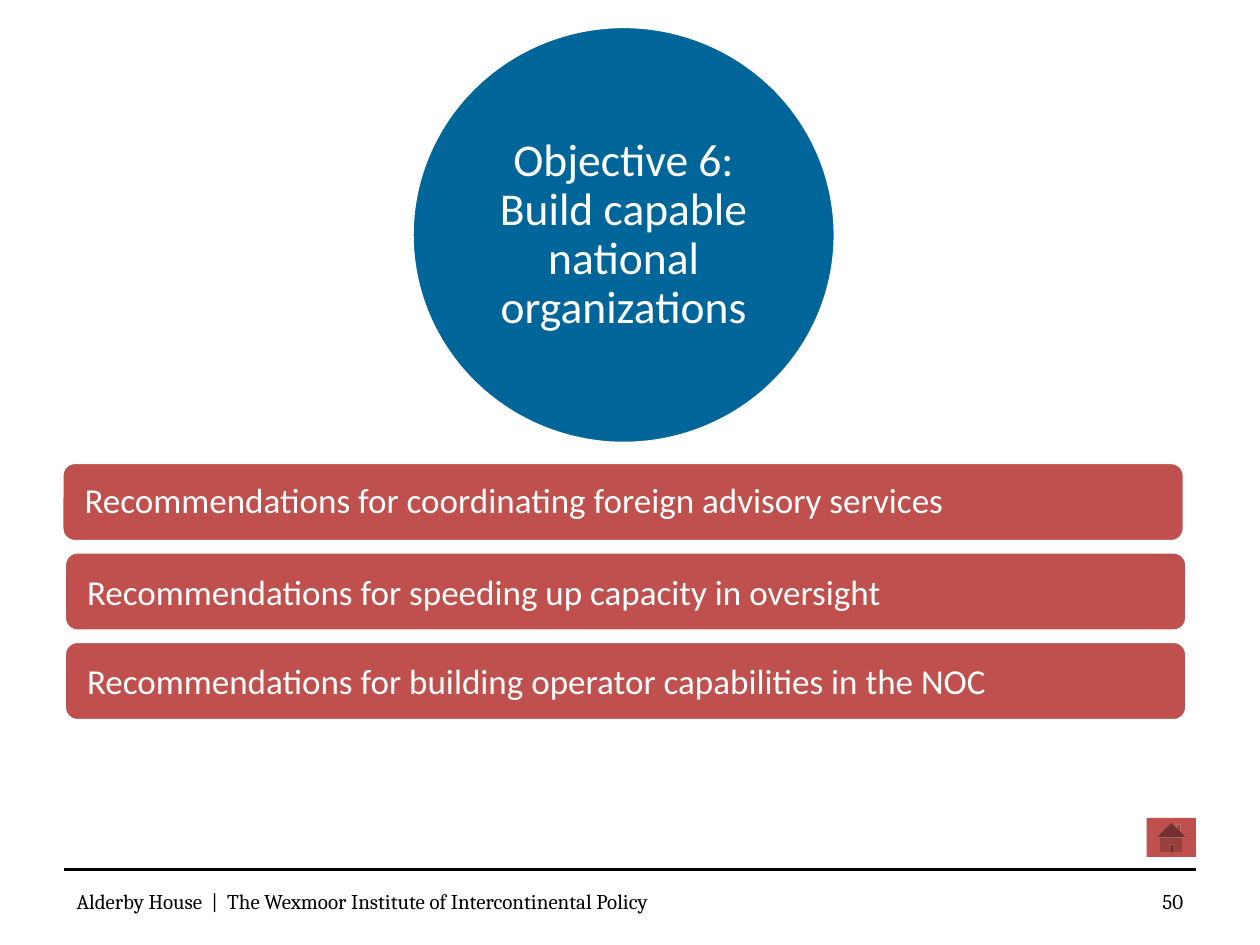
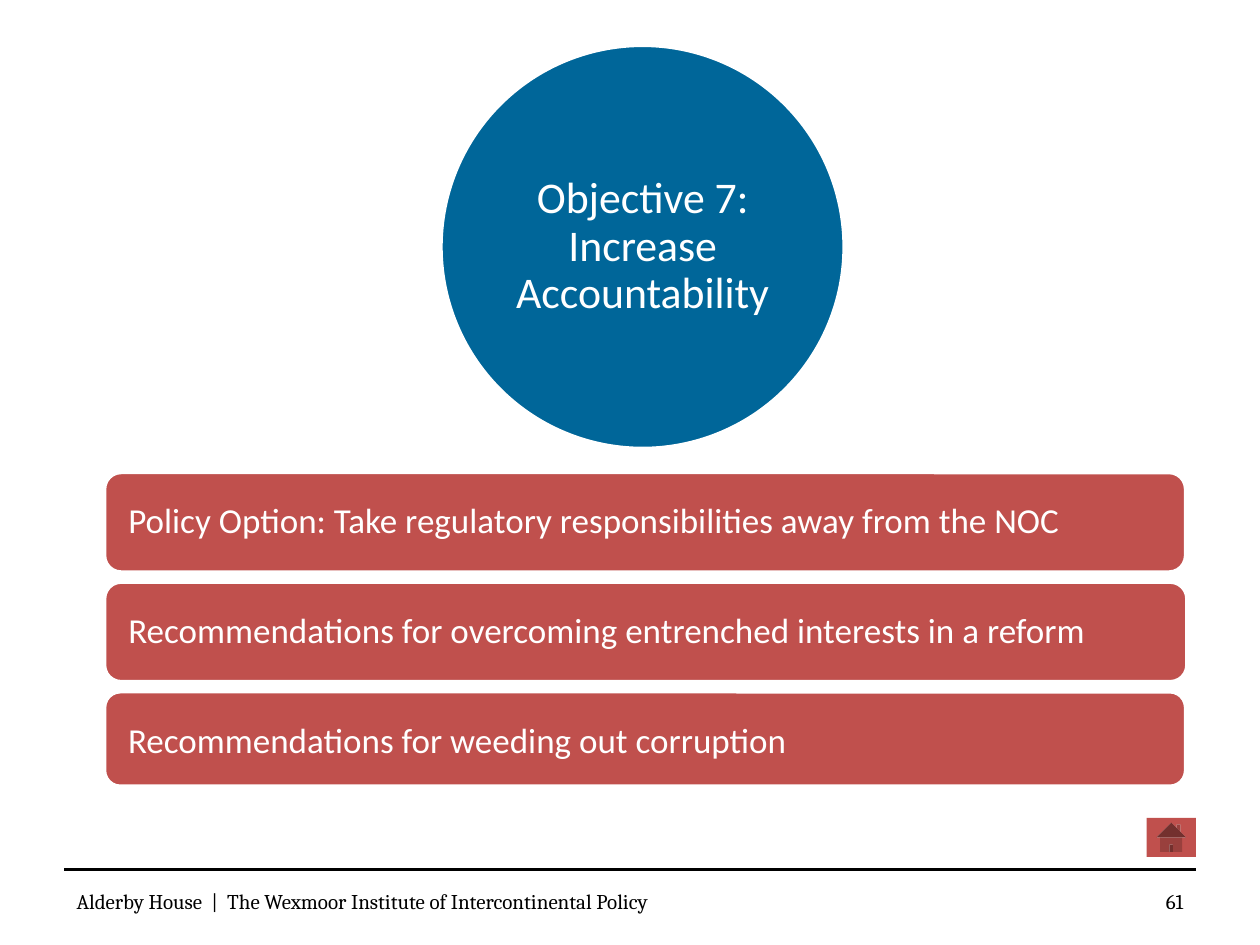
from dataclasses import dataclass

from lxml.etree import SubElement
from pptx import Presentation
from pptx.dml.color import RGBColor
from pptx.enum.shapes import MSO_CONNECTOR as Connector, MSO_SHAPE as Shape
from pptx.enum.text import MSO_ANCHOR as Anchor, MSO_AUTO_SIZE as AutoSize, PP_ALIGN as Align
from pptx.oxml.ns import qn
from pptx.util import Inches, Pt

BLUE, RED, WHITE, BLACK = "006699", "C0504D", "FFFFFF", "000000"
BODY_FONT, FOOTER_FONT = "Calibri", "Cambria"
ORGANISATION = "Alderby House  |  The Wexmoor Institute of Intercontinental Policy"
BAR_GAP = 0.08


@dataclass
class Bar:
    text: str
    left: float
    width: float
    height: float
    spacing: float = 1.0


@dataclass
class Objective:
    title: str
    title_size: int
    circle: tuple
    bars_top: float
    bars: list
    number: str


OBJECTIVES = [
    Objective(
        "Objective 6: Build capable national organizations", 26,
        (3.27, 0.21, 3.36, 3.31), 3.67,
        [
            Bar("Recommendations for coordinating foreign advisory services", 0.49, 8.91, 0.63, 0.9),
            Bar("Recommendations for speeding up capacity in oversight", 0.51, 8.91, 0.63),
            Bar("Recommendations for building operator capabilities in the NOC", 0.51, 8.91, 0.63),
        ],
        "50",
    ),
    Objective(
        "Objective 7: Increase Accountability", 25,
        (3.5, 0.36, 3.2, 3.2), 3.75,
        [
            Bar("Policy Option: Take regulatory responsibilities away from the NOC", 0.83, 8.58, 0.79, 0.9),
            Bar("Recommendations for overcoming entrenched interests in a reform", 0.83, 8.59, 0.79, 0.9),
            Bar("Recommendations for weeding out corruption", 0.83, 8.58, 0.75),
        ],
        "61",
    ),
]


def color(value):
    return RGBColor.from_string(value)


def inches(box):
    return [Inches(length) for length in box]


def write(holder, text, size, font=BODY_FONT, fill=WHITE, align=Align.LEFT,
          spacing=None, inset=None):
    frame = holder.text_frame
    frame.word_wrap = True
    frame.auto_size = AutoSize.NONE
    frame.vertical_anchor = Anchor.MIDDLE
    if inset is not None:
        frame.margin_left = frame.margin_right = Inches(inset)
        frame.margin_top = frame.margin_bottom = Inches(inset)
    paragraph = frame.paragraphs[0]
    paragraph.alignment = align
    if spacing:
        paragraph.line_spacing = spacing
    run = paragraph.add_run()
    run.text = text
    run.font.name = font
    run.font.size = Pt(size)
    run.font.color.rgb = color(fill)


def add_panel(slide, kind, box, fill, outline=None):
    panel = slide.shapes.add_shape(kind, *inches(box))
    panel.shadow.inherit = False
    panel.fill.solid()
    panel.fill.fore_color.rgb = color(fill)
    if outline:
        panel.line.color.rgb = color(outline)
        panel.line.width = Pt(2)
    else:
        panel.line.fill.background()
    return panel


def add_objective_circle(slide, title, size, box):
    add_panel(slide, Shape.OVAL, box, BLUE, WHITE)
    left, top, width, height = box
    inner = (left + 0.146 * width, top + 0.146 * height, 0.708 * width, 0.708 * height)
    heading = slide.shapes.title
    heading.left, heading.top, heading.width, heading.height = inches(inner)
    write(heading, title, size, align=Align.CENTER, spacing=0.9, inset=0.04)
    slide.shapes._spTree.append(heading._element)


def add_bars(slide, bars, top):
    for bar in bars:
        panel = add_panel(slide, Shape.ROUNDED_RECTANGLE,
                          (bar.left, top, bar.width, bar.height), RED, WHITE)
        write(panel, bar.text, 20, spacing=bar.spacing, inset=0.15)
        top += bar.height + BAR_GAP


def add_footer(slide, number, left=0.51, top=6.9, width=8.98):
    right = left + width
    add_panel(slide, Shape.ACTION_BUTTON_HOME, (right - 0.39, top - 0.41, 0.39, 0.31), RED)
    rule = slide.shapes.add_connector(Connector.STRAIGHT, *inches((left, top, right, top)))
    rule.line.color.rgb = color(BLACK)
    rule.line.width = Pt(1.5)
    SubElement(rule._element.spPr, qn("a:effectLst"))
    for text, text_left, text_width, align in (
        (ORGANISATION, left, 6.07, Align.LEFT),
        (number, right - 2.33, 2.33, Align.RIGHT),
    ):
        label = slide.shapes.add_textbox(*inches((text_left, top + 0.05, text_width, 0.4)))
        write(label, text, 12, font=FOOTER_FONT, fill=BLACK, align=align)


def add_objective_slide(deck, objective):
    slide = deck.slides.add_slide(deck.slide_layouts.get_by_name("Title Only"))
    add_objective_circle(slide, objective.title, objective.title_size, objective.circle)
    add_bars(slide, objective.bars, objective.bars_top)
    add_footer(slide, objective.number)


def main():
    deck = Presentation()
    deck.slide_width, deck.slide_height = Inches(10), Inches(7.5)
    for objective in OBJECTIVES:
        add_objective_slide(deck, objective)
    deck.save("out.pptx")


if __name__ == "__main__":
    main()
